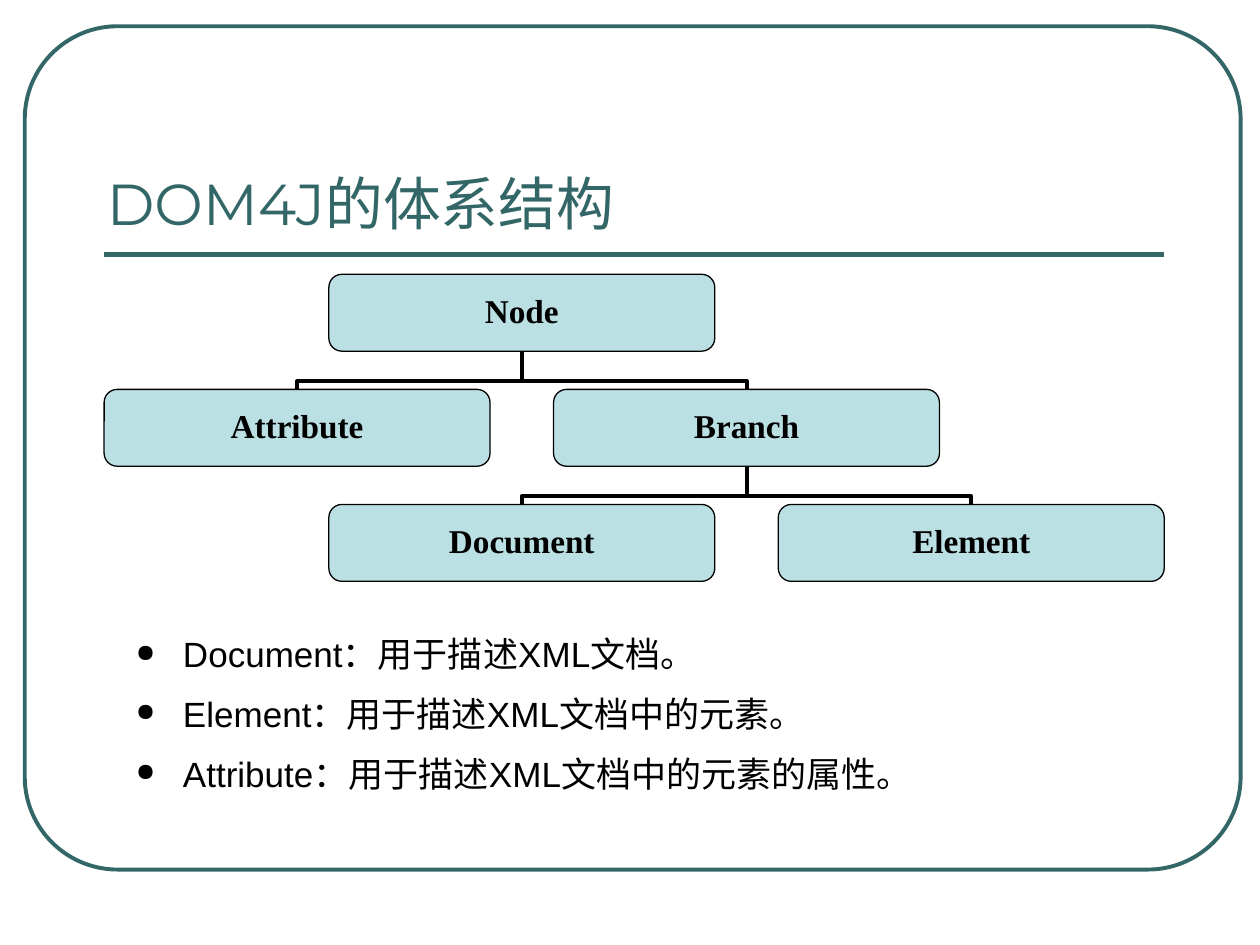
from lxml.etree import SubElement
from pptx import Presentation
from pptx.dml.color import RGBColor
from pptx.enum.shapes import MSO_CONNECTOR as Connector, MSO_SHAPE as Shape
from pptx.enum.text import MSO_ANCHOR as Anchor, MSO_AUTO_SIZE as AutoSize, PP_ALIGN as Align
from pptx.oxml.ns import qn
from pptx.util import Cm, Pt

TITLE = "DOM4J的体系结构"
NODES = {
    "Node": (1, 0),
    "Attribute": (0, 1),
    "Branch": (2, 1),
    "Document": (1, 2),
    "Element": (3, 2),
}
LINKS = [("Branch", "Element"), ("Branch", "Document"), ("Node", "Branch"), ("Node", "Attribute")]
DEFINITIONS = [
    "Document：用于描述XML文档。",
    "Element：用于描述XML文档中的元素。",
    "Attribute：用于描述XML文档中的元素的属性。",
]
COLORS = {"teal": "336666", "node": "BBE0E3", "black": "000000"}
TREE_LEFT, TREE_TOP = 2.1, 5.53
COLUMN_STEP, ROW_STEP = 4.53, 2.32
NODE_WIDTH, NODE_HEIGHT = 7.78, 1.55
HANGING = Cm(0.95)


def color(name):
    return RGBColor.from_string(COLORS[name])


def add_text(paragraph, text, font, size, color_name, bold=False):
    run = paragraph.add_run()
    run.text = text
    run.font.name = font
    run.font.size = Pt(size)
    run.font.bold = bold
    run.font.color.rgb = color(color_name)


def set_hanging(paragraph, space_before):
    paragraph.line_spacing = 0.9
    paragraph.space_before = Pt(space_before)
    properties = paragraph._p.get_or_add_pPr()
    properties.set("marL", str(HANGING))
    properties.set("indent", str(-HANGING))
    return properties


def add_round_box(slide, left, top, width, height, corner, line_color, line_width):
    box = slide.shapes.add_shape(Shape.ROUNDED_RECTANGLE, Cm(left), Cm(top), Cm(width), Cm(height))
    box.adjustments[0] = corner
    box.shadow.inherit = False
    box.fill.background()
    box.line.color.rgb = color(line_color)
    box.line.width = Pt(line_width)
    return box


def add_line(slide, kind, ends, line_color, width):
    line = slide.shapes.add_connector(kind, *(Cm(value) for value in ends))
    line.line.color.rgb = color(line_color)
    line.line.width = Pt(width)
    SubElement(line._element.spPr, qn("a:effectLst"))
    return line


def node_position(name):
    column, row = NODES[name]
    return TREE_LEFT + column * COLUMN_STEP, TREE_TOP + row * ROW_STEP


def add_link(slide, parent, child):
    """Draw an upright elbow from the child's top to the parent's bottom."""
    parent_left, parent_top = node_position(parent)
    child_left, child_top = node_position(child)
    rise = child_top - parent_top - NODE_HEIGHT
    span = abs(child_left - parent_left)
    center_x = (parent_left + child_left + NODE_WIDTH) / 2
    center_y = child_top - rise / 2
    ends = [center_x - rise / 2, center_y - span / 2, center_x + rise / 2, center_y + span / 2]
    if child_left > parent_left:
        ends[1], ends[3] = ends[3], ends[1]
    link = add_line(slide, Connector.ELBOW, ends, "black", 2.25)
    properties = link._element.spPr
    properties.find(qn("a:xfrm")).set("rot", str(270 * 60000))
    guides = properties.find(qn("a:prstGeom")).find(qn("a:avLst"))
    SubElement(guides, qn("a:gd"), name="adj1", fmla="val 22200")


def add_node(slide, name):
    box = add_round_box(slide, *node_position(name), NODE_WIDTH, NODE_HEIGHT, 0.17, "black", 0.75)
    box.fill.solid()
    box.fill.fore_color.rgb = color("node")
    frame = box.text_frame
    frame.margin_left = frame.margin_right = frame.margin_top = frame.margin_bottom = 0
    frame.vertical_anchor = Anchor.MIDDLE
    paragraph = frame.paragraphs[0]
    paragraph.alignment = Align.CENTER
    set_hanging(paragraph, 4.8)
    add_text(paragraph, name, "Times New Roman", 19, "black", True)


def add_title(slide):
    title = slide.shapes.title
    title.left, title.top, title.width, title.height = Cm(1.9), Cm(0.91), Cm(21.39), Cm(3.99)
    frame = title.text_frame
    frame.auto_size = AutoSize.NONE
    frame.vertical_anchor = Anchor.BOTTOM
    frame.paragraphs[0].alignment = Align.LEFT
    add_text(frame.paragraphs[0], TITLE, "Montserrat", 33, "teal")


def add_definitions(slide):
    frame = slide.shapes.add_textbox(Cm(2.49), Cm(12.73), Cm(21.41), Cm(3.43)).text_frame
    frame.word_wrap = True
    frame.auto_size = AutoSize.SHAPE_TO_FIT_TEXT
    for index, text in enumerate(DEFINITIONS):
        paragraph = frame.add_paragraph() if index else frame.paragraphs[0]
        properties = set_hanging(paragraph, 12.5)
        bullet_color = SubElement(properties, qn("a:buClr"))
        SubElement(bullet_color, qn("a:srgbClr"), val=COLORS["black"])
        SubElement(properties, qn("a:buSzPct"), val="70000")
        SubElement(properties, qn("a:buChar"), char="●")
        add_text(paragraph, text, "Arial", 20, "black")


def main():
    presentation = Presentation()
    presentation.slide_width, presentation.slide_height = Cm(25.4), Cm(19.05)
    slide = presentation.slides.add_slide(presentation.slide_layouts[5])
    add_round_box(slide, 0.5, 0.53, 24.51, 17, 0.11, "teal", 2.25)
    add_line(slide, Connector.STRAIGHT, (2.1, 5.13, 23.47, 5.13), "teal", 3)
    add_title(slide)
    for parent, child in LINKS:
        add_link(slide, parent, child)
    for name in NODES:
        add_node(slide, name)
    add_definitions(slide)
    presentation.save("out.pptx")


if __name__ == "__main__":
    main()
